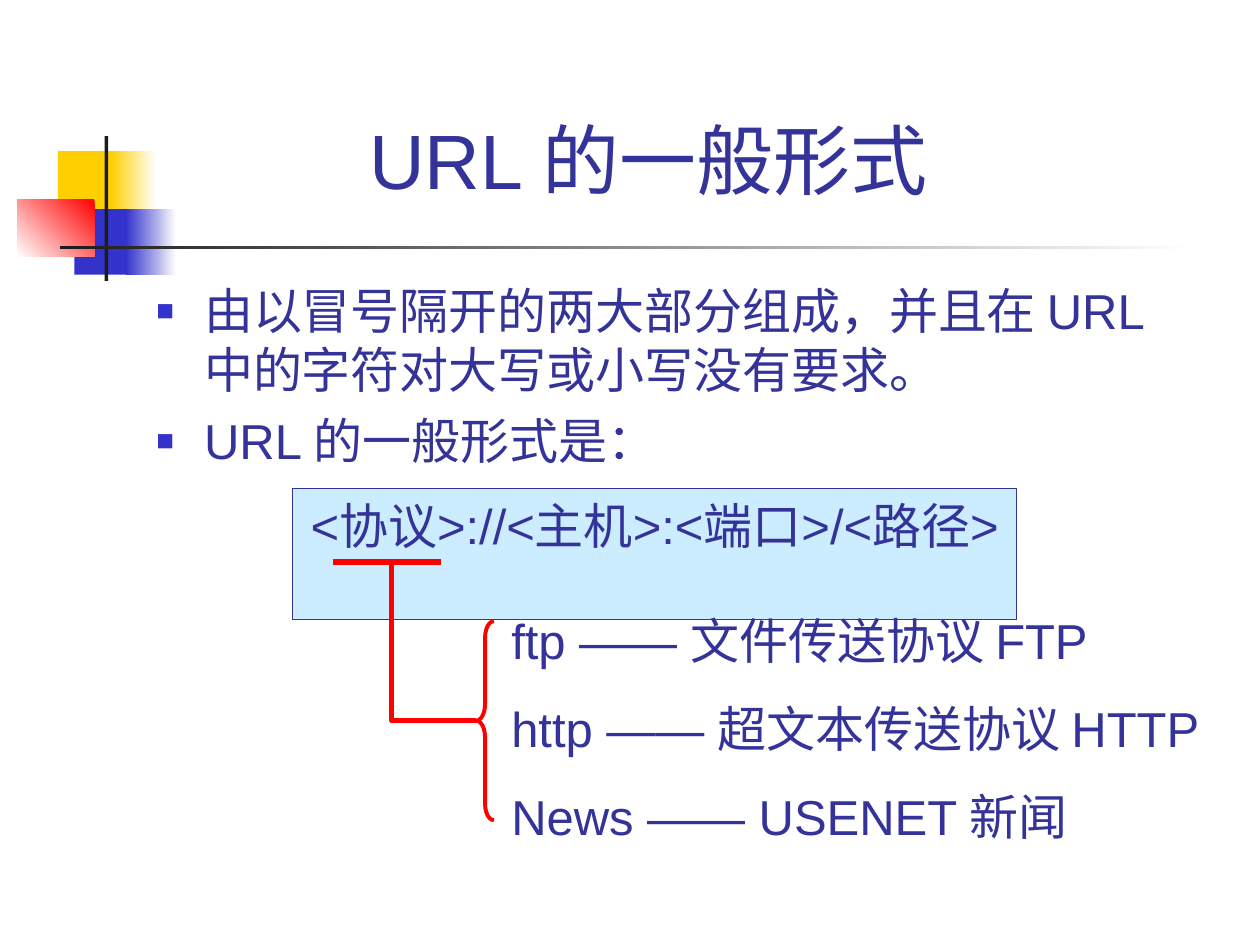
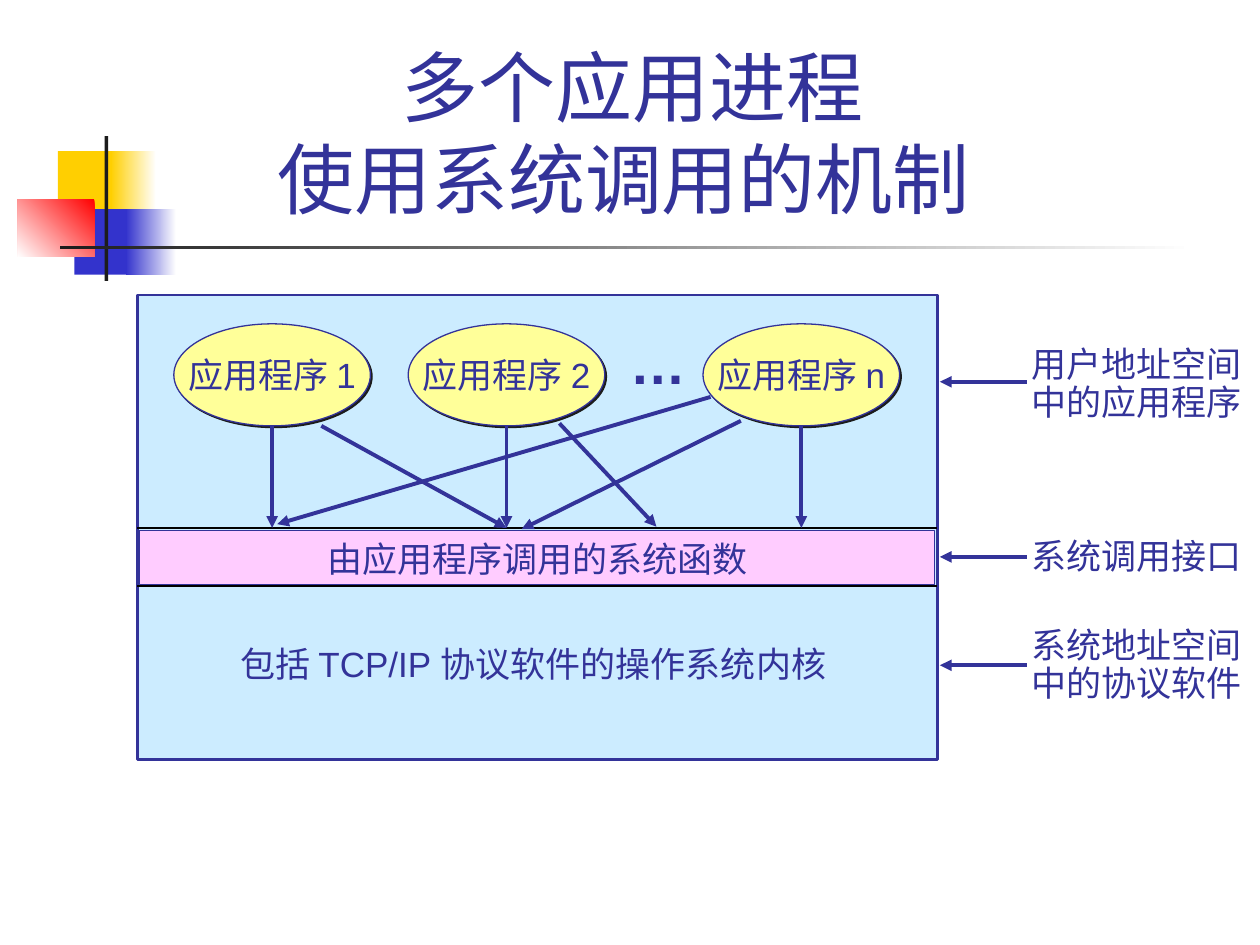
from dataclasses import dataclass
from typing import Optional

from lxml import etree
from pptx import Presentation
from pptx.dml.color import RGBColor
from pptx.enum.shapes import MSO_CONNECTOR, MSO_SHAPE
from pptx.enum.text import MSO_ANCHOR, MSO_AUTO_SIZE, PP_ALIGN
from pptx.oxml.ns import qn
from pptx.util import Inches, Pt

RECTANGLE, OVAL, LEFT_BRACE = MSO_SHAPE.RECTANGLE, MSO_SHAPE.OVAL, MSO_SHAPE.LEFT_BRACE
STRAIGHT = MSO_CONNECTOR.STRAIGHT
LEFT, CENTER = PP_ALIGN.LEFT, PP_ALIGN.CENTER
TOP, MIDDLE, BOTTOM = MSO_ANCHOR.TOP, MSO_ANCHOR.MIDDLE, MSO_ANCHOR.BOTTOM
FIXED, GROW = MSO_AUTO_SIZE.NONE, MSO_AUTO_SIZE.SHAPE_TO_FIT_TEXT

FONT = "Arial"
COLORS = {
    "white": "FFFFFF", "black": "000000", "ink": "1C1C1C", "navy": "333399",
    "gold": "FFCF01", "blue": "3333CC", "red": "FF0000", "sky": "CCECFF",
    "cream": "FFFF99", "pink": "FFCCFF",
}
TITLE_AND_CONTENT, TITLE_ONLY = 1, 5


@dataclass(frozen=True)
class Box:
    left: float
    top: float
    width: float
    height: float

    def lengths(self):
        return [Inches(value) for value in (self.left, self.top, self.width, self.height)]


@dataclass(frozen=True)
class Ornament:
    box: Box
    fill: str
    fade_to: Optional[str] = None
    angle: int = 180


@dataclass(frozen=True)
class Arrow:
    start: tuple[float, float]
    end: tuple[float, float]


@dataclass(frozen=True)
class SideLabel:
    lines: list[str]
    text_top: float
    text_height: float
    arrow_y: float
    line_spacing: float


ORNAMENTS = [
    Ornament(Box(0.46, 1.2, 0.48, 0.52), "gold"),
    Ornament(Box(0.88, 1.2, 0.36, 0.52), "white", "gold"),
    Ornament(Box(0.59, 1.66, 0.46, 0.52), "blue"),
    Ornament(Box(1, 1.66, 0.4, 0.52), "white", "blue"),
    Ornament(Box(0.14, 1.58, 0.61, 0.46), "red", "white", 225),
    Ornament(Box(0.83, 1.08, 0.03, 1.15), "ink"),
    Ornament(Box(0.48, 1.95, 9, 0.03), "white", "ink"),
]


def color(name: str) -> RGBColor:
    return RGBColor.from_string(COLORS[name])


def add_xml(parent, tag: str, **attributes):
    values = {name: str(value) for name, value in attributes.items()}
    return etree.SubElement(parent, qn(tag), values)


def write_text(shape, lines, *, size=20, bold=False, align=LEFT, anchor=TOP,
               wrap=True, auto_size=FIXED, line_spacing=None):
    """Fill the shape with one paragraph for each line of text."""
    frame = shape.text_frame
    frame.auto_size = auto_size
    frame.word_wrap = wrap
    frame.vertical_anchor = anchor
    for index, line in enumerate(lines):
        paragraph = frame.add_paragraph() if index else frame.paragraphs[0]
        paragraph.text = line
        paragraph.alignment = align
        if line_spacing:
            paragraph.line_spacing = line_spacing
        for run in paragraph.runs:
            run.font.name = FONT
            run.font.size = Pt(size)
            run.font.bold = bold
            run.font.color.rgb = color("navy")


def add_text(slide, box: Box, lines, **text_format):
    text_format = {"wrap": False, "auto_size": GROW} | text_format
    write_text(slide.shapes.add_textbox(*box.lengths()), lines, **text_format)


def style_line(shape, name: str, width: float):
    shape.line.color.rgb = color(name)
    shape.line.width = Pt(width)


def add_figure(slide, kind, box: Box, fill=None, line=None, line_width=0.75):
    shape = slide.shapes.add_shape(kind, *box.lengths())
    shape.shadow.inherit = False
    if fill:
        shape.fill.solid()
        shape.fill.fore_color.rgb = color(fill)
    else:
        shape.fill.background()
    if line:
        style_line(shape, line, line_width)
    else:
        shape.line.fill.background()
    return shape


def add_line(slide, start, end, name="navy", width=2.25, arrow=False):
    points = [Inches(value) for value in (*start, *end)]
    connector = slide.shapes.add_connector(STRAIGHT, *points)
    style_line(connector, name, width)
    properties = connector.element.spPr
    if arrow:
        add_xml(properties.find(qn("a:ln")), "a:tailEnd", type="triangle")
    add_xml(properties, "a:effectLst")


def add_hard_shadow(shape):
    effects = shape.element.spPr.find(qn("a:effectLst"))
    shadow = add_xml(effects, "a:outerShdw", dist=Pt(1.4), dir=45 * 60000,
                     algn="ctr", rotWithShape=0)
    add_xml(shadow, "a:srgbClr", val=COLORS["ink"])


def add_square_bullet(paragraph):
    paragraph.space_before = Pt(7)
    properties = paragraph._p.get_or_add_pPr()
    properties.set("marL", str(Inches(0.38)))
    properties.set("indent", str(-Inches(0.38)))
    add_xml(add_xml(properties, "a:buClr"), "a:srgbClr", val=COLORS["blue"])
    add_xml(properties, "a:buSzPct", val=60000)
    add_xml(properties, "a:buFont", typeface=FONT)
    add_xml(properties, "a:buChar", char="■")


def move(shape, box: Box):
    shape.left, shape.top, shape.width, shape.height = box.lengths()


def add_slide(presentation, layout: int, title: str, title_box: Box):
    """Add a slide with the shared ornaments and title style."""
    slide = presentation.slides.add_slide(presentation.slide_layouts[layout])
    for ornament in ORNAMENTS:
        shape = add_figure(slide, RECTANGLE, ornament.box, ornament.fill)
        if ornament.fade_to:
            shape.fill.gradient()
            shape.fill.gradient_angle = ornament.angle
            ends = (ornament.fill, ornament.fade_to)
            for stop, name, position in zip(shape.fill.gradient_stops, ends, (0, 1)):
                stop.color.rgb = color(name)
                stop.position = position
    move(slide.shapes.title, title_box)
    write_text(slide.shapes.title, [title], size=44, align=CENTER, anchor=BOTTOM)
    return slide


def build_url_slide(presentation):
    slide = add_slide(presentation, TITLE_AND_CONTENT, "URL 的一般形式 ",
                      Box(1.26, 0.76, 7.91, 0.92))
    body = slide.placeholders[1]
    move(body, Box(1.14, 2.18, 8.5, 2.12))
    write_text(body, ["由以冒号隔开的两大部分组成，并且在 URL 中的字符对大写或小写没有要求。",
                      "URL 的一般形式是："], size=28)
    for paragraph in body.text_frame.paragraphs:
        add_square_bullet(paragraph)

    pattern = add_figure(slide, RECTANGLE, Box(2.32, 3.88, 5.75, 1.04), "sky", "navy")
    write_text(pattern, ["<协议>://<主机>:<端口>/<路径> "], size=28, align=CENTER,
               auto_size=GROW)

    underline_y, brace_middle, brace_left = 4.46, 5.72, 3.78
    add_line(slide, (2.64, underline_y), (3.5, underline_y), "red", 3)
    builder = slide.shapes.build_freeform(Inches(3.11), Inches(underline_y))
    builder.add_line_segments([(Inches(3.11), Inches(brace_middle)),
                               (Inches(brace_left), Inches(brace_middle))], close=False)
    elbow = builder.convert_to_shape()
    elbow.shadow.inherit = False
    elbow.fill.background()
    style_line(elbow, "red", 3)
    brace = add_figure(slide, LEFT_BRACE, Box(brace_left, 4.93, 0.14, 1.58),
                       line="red", line_width=2.25)
    brace.adjustments[0] = 0.93

    add_text(slide, Box(3.96, 4.56, 5.84, 2.2),
             ["ftp —— 文件传送协议 FTP", "http —— 超文本传送协议 HTTP",
              "News —— USENET 新闻"], size=28, line_spacing=1.5)


def build_system_call_slide(presentation):
    slide = add_slide(presentation, TITLE_ONLY, "多个应用进程\v使用系统调用的机制 ",
                      Box(1.26, 0.23, 7.52, 1.6))
    system = Box(1.09, 2.34, 6.35, 3.69)
    add_figure(slide, RECTANGLE, system, "sky", "navy", 1.5)

    program_top, program_width, program_height = 2.57, 1.56, 0.81
    program_bottom, interface_top, interface_bottom = 3.38, 4.19, 4.65
    arrows = []
    for suffix, left in (("1", 1.38), ("2", 3.24), ("n", 5.58)):
        program = add_figure(slide, OVAL,
                             Box(left, program_top, program_width, program_height),
                             "cream", "navy")
        add_hard_shadow(program)
        write_text(program, [f"应用程序 {suffix}"], align=CENTER, anchor=MIDDLE, wrap=False)
        center = left + program_width / 2
        arrows.append(Arrow((center, program_bottom), (center, interface_top)))
    add_text(slide, Box(4.9, 2.56, 0.64, 0.64), ["…"], size=32, bold=True)

    add_figure(slide, RECTANGLE, Box(1.11, 4.21, 6.31, 0.43), "pink", "navy")
    for y in (interface_top, interface_bottom):
        add_line(slide, (system.left, y), (system.left + system.width, y), "black", 0.75)
    add_text(slide, Box(2.5, 4.22, 3.54, 0.44), ["由应用程序调用的系统函数"])
    add_text(slide, Box(1.81, 5.05, 4.99, 0.44), ["包括 TCP/IP 协议软件的操作系统内核"])

    arrows += [
        Arrow((2.55, 3.38), (4.02, 4.19)),
        Arrow((5.88, 3.34), (4.14, 4.2)),
        Arrow((5.64, 3.15), (2.2, 4.16)),
        Arrow((4.44, 3.36), (5.21, 4.18)),
    ]
    side_labels = [
        SideLabel(["用户地址空间", "中的应用程序"], 2.71, 0.7, 3.03, 0.9),
        SideLabel(["系统调用接口"], 4.19, 0.44, 4.42, 1.0),
        SideLabel(["系统地址空间", "中的协议软件"], 4.94, 0.7, 5.28, 0.9),
    ]
    for label in side_labels:
        add_text(slide, Box(8.09, label.text_top, 1.87, label.text_height), label.lines,
                 line_spacing=label.line_spacing)
        arrows.append(Arrow((8.15, label.arrow_y), (7.46, label.arrow_y)))
    for arrow in arrows:
        add_line(slide, arrow.start, arrow.end, arrow=True)


def main():
    presentation = Presentation()
    presentation.slide_width = Inches(10)
    presentation.slide_height = Inches(7.5)
    build_url_slide(presentation)
    build_system_call_slide(presentation)
    presentation.save("out.pptx")


if __name__ == "__main__":
    main()
